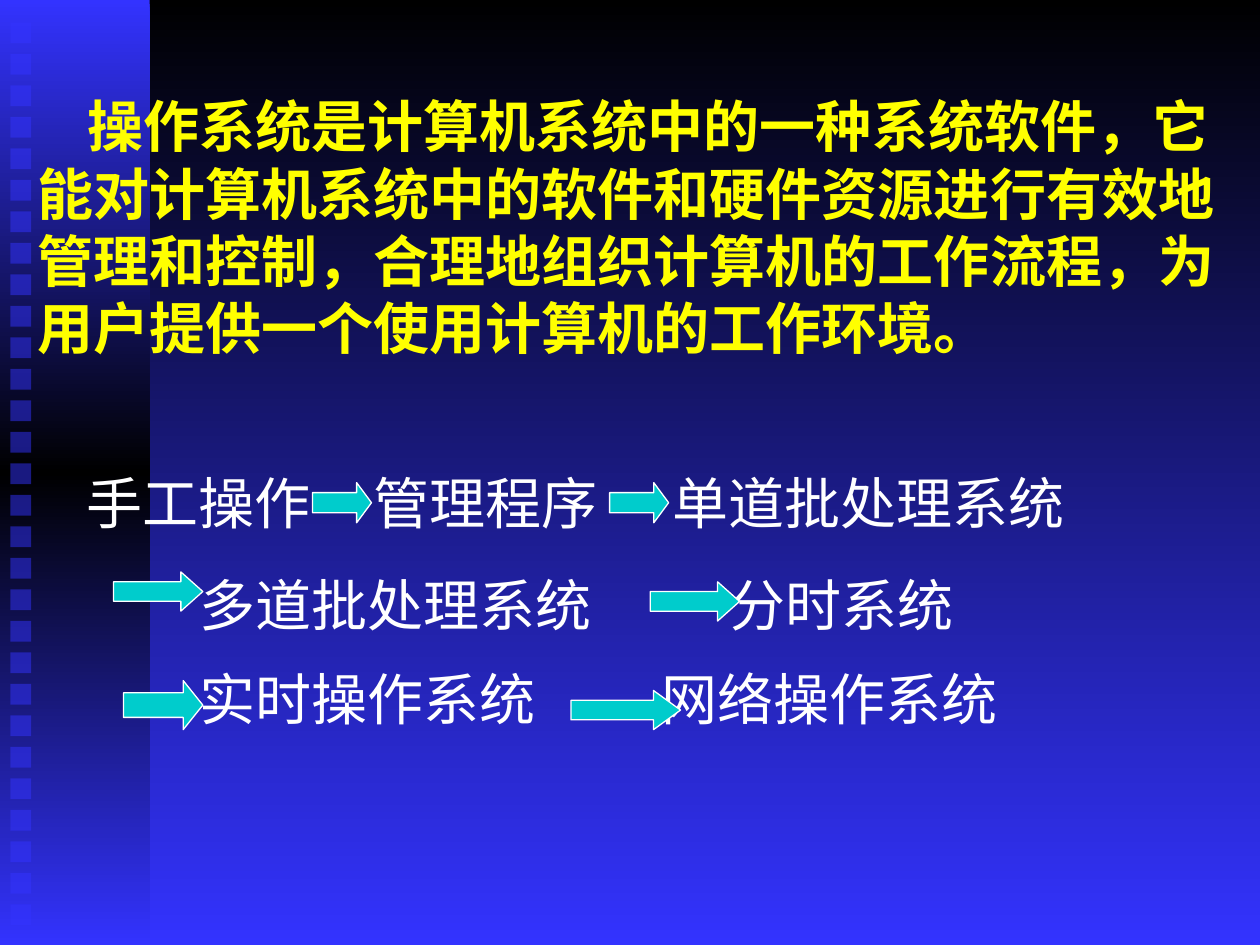
from copy import deepcopy
from typing import NamedTuple

from lxml.etree import SubElement
from pptx import Presentation
from pptx.dml.color import RGBColor
from pptx.enum.lang import MSO_LANGUAGE_ID as Language
from pptx.enum.shapes import MSO_SHAPE as Preset
from pptx.oxml.ns import qn
from pptx.util import Cm, Pt

BLACK = RGBColor(0x00, 0x00, 0x00)
BLUE = RGBColor(0x33, 0x33, 0xFF)
TEAL = RGBColor(0x00, 0xCC, 0xCC)
WHITE = RGBColor(0xFF, 0xFF, 0xFF)
YELLOW = RGBColor(0xFF, 0xFF, 0x00)

SQUARE_COUNT = 29
FIRST_SQUARE, LAST_SQUARE = 0.45, 18.23


class Line(NamedTuple):
    """One paragraph; indent and tab stop positions are in centimetres."""
    text: str
    indent: float = 0
    tabs: tuple[float, ...] = ()
    space_before: float = 0


class Arrow(NamedTuple):
    """A block arrow, in centimetres, with its head length ratio."""
    left: float
    top: float
    width: float
    height: float
    head: float


DEFINITION = [
    Line("操作系统是计算机系统中的一种系统软件，它能对计算机系统中的软件和硬件资源进行有效地"
         "管理和控制，合理地组织计算机的工作流程，为用户提供一个使用计算机的工作环境。", indent=1.01),
]
HISTORY = [
    Line("手工操作\t管理程序\t单道批处理系统", tabs=(5.78, 11.81)),
    Line("\t多道批处理系统\t分时系统", tabs=(2.28, 12.96), space_before=20),
    Line("\t实时操作系统\t网络操作系统", tabs=(2.28, 11.58), space_before=15),
]
ARROWS = [
    Arrow(6.3, 9.73, 1.19, 0.81, 0.37),
    Arrow(12.29, 9.73, 1.19, 0.81, 0.37),
    Arrow(2.49, 13.72, 1.6, 0.99, 0.4),
    Arrow(11.51, 13.92, 2.21, 0.79, 0.69),
    Arrow(2.29, 11.53, 1.8, 0.79, 0.56),
    Arrow(13.11, 11.73, 1.8, 0.79, 0.56),
]


def set_gradient(fill, element, colours: list[RGBColor]) -> None:
    """Fill from top to bottom with evenly spaced colours."""
    fill.gradient()
    fill.gradient_angle = 270
    stop_list = element.find(f".//{qn('a:gsLst')}")
    while len(stop_list) < len(colours):
        stop_list.append(deepcopy(stop_list[0]))
    for index, (stop, colour) in enumerate(zip(fill.gradient_stops, colours)):
        stop.color.rgb = colour
        stop.position = index / (len(colours) - 1)


def add_preset(slide, preset: Preset, left: float, top: float, width: float, height: float):
    shape = slide.shapes.add_shape(preset, Cm(left), Cm(top), Cm(width), Cm(height))
    shape.shadow.inherit = False
    shape.line.fill.background()
    return shape


def add_square(slide, top: float) -> None:
    square = add_preset(slide, Preset.RECTANGLE, 0.21, top, 0.42, 0.42)
    square.fill.solid()
    square.fill.fore_color.rgb = BLUE
    colour = square._element.spPr.find(f".//{qn('a:srgbClr')}")
    SubElement(colour, qn("a:alpha"), val="50000")


def add_arrow(slide, arrow: Arrow) -> None:
    shape = add_preset(slide, Preset.RIGHT_ARROW, *arrow[:4])
    shape.adjustments[0] = 0.5
    shape.adjustments[1] = arrow.head
    shape.fill.solid()
    shape.fill.fore_color.rgb = TEAL
    shape.line.color.rgb = WHITE
    shape.line.width = Pt(0.75)


def add_text(slide, lines: list[Line], *, left: float, top: float, width: float, height: float,
             colour: RGBColor, bold: bool = False, size: float = 32) -> None:
    box = slide.shapes.add_textbox(Cm(left), Cm(top), Cm(width), Cm(height))
    frame = box.text_frame
    frame.word_wrap = True
    for index, line in enumerate(lines):
        paragraph = frame.paragraphs[0] if index == 0 else frame.add_paragraph()
        properties = paragraph._p.get_or_add_pPr()
        # An explicit indent makes LibreOffice drop the tab stops
        if line.indent:
            properties.set("indent", str(Cm(line.indent)))
        if line.space_before:
            paragraph.space_before = Pt(line.space_before)
        if line.tabs:
            tab_list = SubElement(properties, qn("a:tabLst"))
            for position in line.tabs:
                SubElement(tab_list, qn("a:tab"), pos=str(Cm(position)), algn="l")
        run = paragraph.add_run()
        run.text = line.text
        run.font.name = "Times New Roman"
        run.font.size = Pt(size)
        run.font.bold = bold
        run.font.color.rgb = colour
        run.font.language_id = Language.SIMPLIFIED_CHINESE


def main() -> None:
    presentation = Presentation()
    presentation.slide_width, presentation.slide_height = Cm(25.4), Cm(19.05)
    slide = presentation.slides.add_slide(presentation.slide_layouts[6])

    # Background and side panel
    set_gradient(slide.background.fill, slide._element, [BLACK, BLUE])
    panel = add_preset(slide, Preset.RECTANGLE, 0, 0, 3.02, 19.05)
    set_gradient(panel.fill, panel._element, [BLUE, BLACK, BLUE])

    # Column of squares
    step = (LAST_SQUARE - FIRST_SQUARE) / (SQUARE_COUNT - 1)
    for index in range(SQUARE_COUNT):
        add_square(slide, FIRST_SQUARE + index * step)

    # Definition and stages of development
    add_text(slide, DEFINITION, left=0.51, top=1.73, width=24.41, height=5.69,
             colour=YELLOW, bold=True)
    add_text(slide, HISTORY, left=1.5, top=9.32, width=22.61, height=5.56, colour=WHITE)

    # Arrows between the stages
    for arrow in ARROWS:
        add_arrow(slide, arrow)

    presentation.save("out.pptx")


if __name__ == "__main__":
    main()
